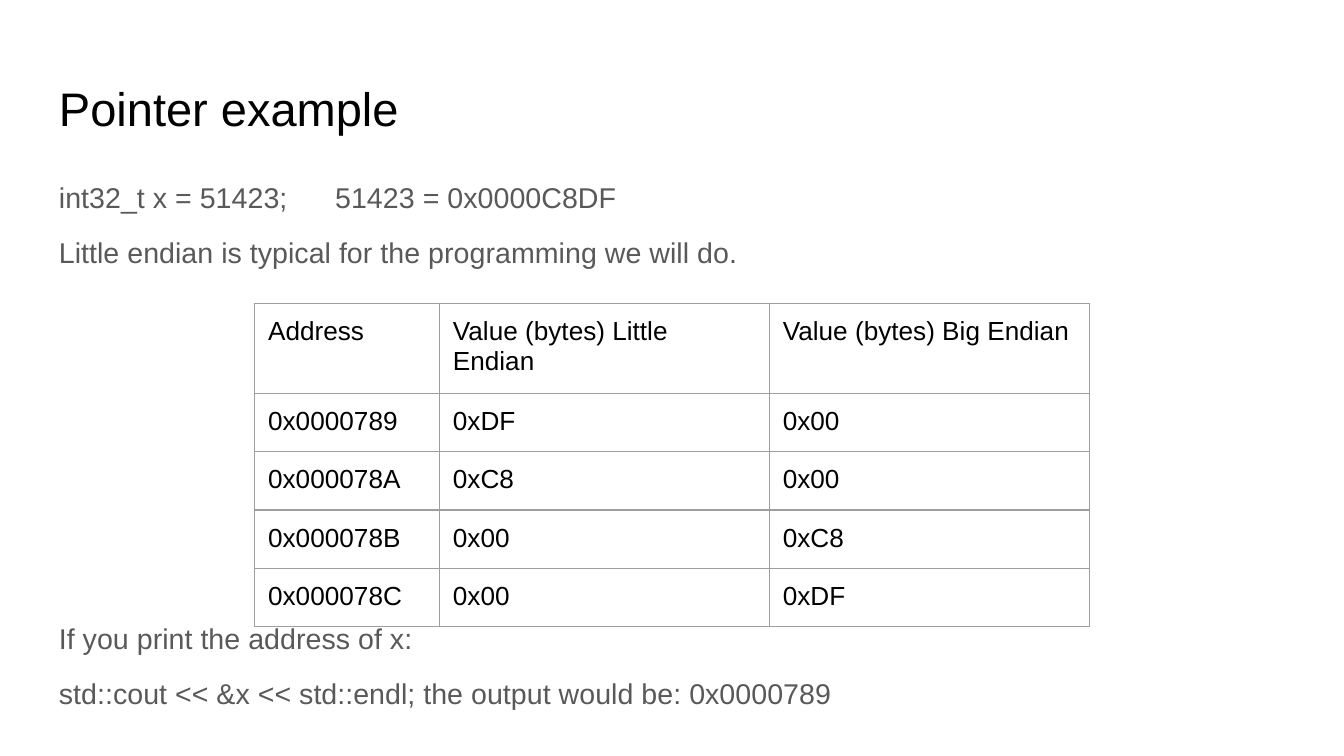
from dataclasses import dataclass

from lxml.etree import SubElement
from pptx import Presentation
from pptx.dml.color import RGBColor
from pptx.enum.text import MSO_ANCHOR
from pptx.oxml.ns import qn
from pptx.slide import Slide
from pptx.table import _Cell
from pptx.text.text import _Paragraph
from pptx.util import Emu, Pt

EMU_PER_PX = 4572
COLORS = {"title": "000000", "body": "595959", "cell": "000000", "border": "9E9E9E"}
FONTS = {
    "title": {"name": "Arial", "size": Pt(25.2)},
    "body": {"name": "Arial", "size": Pt(15.3)},
    "cell": {"name": "Arial", "size": Pt(14)},
}
TITLE_FRAME = {"word_wrap": True, "vertical_anchor": MSO_ANCHOR.MIDDLE}
BODY_FRAME = {"word_wrap": True, "vertical_anchor": MSO_ANCHOR.TOP}
MARGINS = ("margin_left", "margin_top", "margin_right", "margin_bottom")


@dataclass(frozen=True)
class Line:
    """A line of text with its gap above in points and an optional tab stop in px."""

    text: str
    gap: int = 0
    tab: int = 0


@dataclass(frozen=True)
class TextBlock:
    """A text box placed in px, with its role, frame format and lines."""

    left: int
    top: int
    width: int
    height: int
    role: str
    frame: dict
    spacing: float
    lines: tuple[Line, ...]


@dataclass(frozen=True)
class Grid:
    """A table placed in px, with its frame side, column widths, row height and texts."""

    left: int
    top: int
    side: int
    widths: tuple[int, ...]
    row_height: int
    rows: tuple[tuple[str, ...], ...]


BLOCKS = (
    TextBlock(68, 98, 1864, 126, "title", TITLE_FRAME, 1.0, (Line("Pointer example"),)),
    TextBlock(68, 252, 1864, 852, "body", BODY_FRAME, 0.95, (
        Line("int32_t x = 51423;\t51423 = 0x0000C8DF", tab=411),
        Line("Little endian is typical for the programming we will do.", 12),
        Line("If you print the address of x:", 189),
        Line("std::cout << &x << std::endl; the output would be: 0x0000789", 12),
    )),
)
MEMORY = Grid(379, 452, 656, (275, 491, 476), 83, (
    ("Address", "Value (bytes) Little Endian", "Value (bytes) Big Endian"),
    ("0x0000789", "0xDF", "0x00"),
    ("0x000078A", "0xC8", "0x00"),
    ("0x000078B", "0x00", "0xC8"),
    ("0x000078C", "0x00", "0xDF"),
))


def px(length: int) -> Emu:
    """Turn px into EMU."""
    return Emu(length * EMU_PER_PX)


def apply_format(target: object, values: dict) -> None:
    """Set each named attribute on the target."""
    for name, value in values.items():
        setattr(target, name, value)


def write_span(para: _Paragraph, text: str, role: str) -> None:
    """Add one styled run to a paragraph."""
    span = para.add_run()
    span.text = text
    apply_format(span.font, FONTS[role])
    span.font.color.rgb = RGBColor.from_string(COLORS[role])


def add_tab_stop(para: _Paragraph, position: int) -> None:
    """Add a left tab stop to a paragraph."""
    stops = SubElement(para._p.get_or_add_pPr(), qn("a:tabLst"))
    SubElement(stops, qn("a:tab"), pos=str(px(position)), algn="l")


def draw_block(page: Slide, block: TextBlock) -> None:
    """Draw a text box with its lines."""
    box = page.shapes.add_textbox(*map(px, (block.left, block.top, block.width, block.height)))
    frame = box.text_frame
    apply_format(frame, block.frame | dict.fromkeys(MARGINS, px(20)))
    for index, line in enumerate(block.lines):
        para = frame.add_paragraph() if index else frame.paragraphs[0]
        apply_format(para, {"line_spacing": block.spacing, "space_before": Pt(line.gap)})
        if line.tab:
            add_tab_stop(para, line.tab)
        write_span(para, line.text, block.role)


def draw_borders(cell: _Cell) -> None:
    """Put a thin line on all four sides of a cell."""
    properties = cell._tc.get_or_add_tcPr()
    for index, side in enumerate(("lnL", "lnR", "lnT", "lnB")):
        border = properties.makeelement(qn(f"a:{side}"), {"w": str(Pt(0.75))})
        fill = SubElement(border, qn("a:solidFill"))
        SubElement(fill, qn("a:srgbClr"), val=COLORS["border"])
        properties.insert(index, border)


def draw_grid(page: Slide, grid: Grid) -> None:
    """Draw a bordered table without fill, whose rows grow with their text."""
    place = map(px, (grid.left, grid.top, grid.side, grid.side))
    holder = page.shapes.add_table(len(grid.rows), len(grid.widths), *place)
    table = holder.table
    apply_format(table, {"first_row": False, "horz_banding": False})
    for column, width in zip(table.columns, grid.widths):
        column.width = px(width)
    for row, texts in zip(table.rows, grid.rows):
        row.height = px(grid.row_height)
        for cell, text in zip(row.cells, texts):
            apply_format(cell, dict.fromkeys(MARGINS, px(20)))
            cell.fill.background()
            draw_borders(cell)
            write_span(cell.text_frame.paragraphs[0], text, "cell")
    apply_format(holder, {"width": px(grid.side), "height": px(grid.side)})


def main() -> None:
    """Build and save the deck."""
    deck = Presentation()
    apply_format(deck, {"slide_width": px(2000), "slide_height": px(1125)})
    page = deck.slides.add_slide(deck.slide_layouts[6])
    for block in BLOCKS:
        draw_block(page, block)
    draw_grid(page, MEMORY)
    deck.save("out.pptx")


if __name__ == "__main__":
    main()
